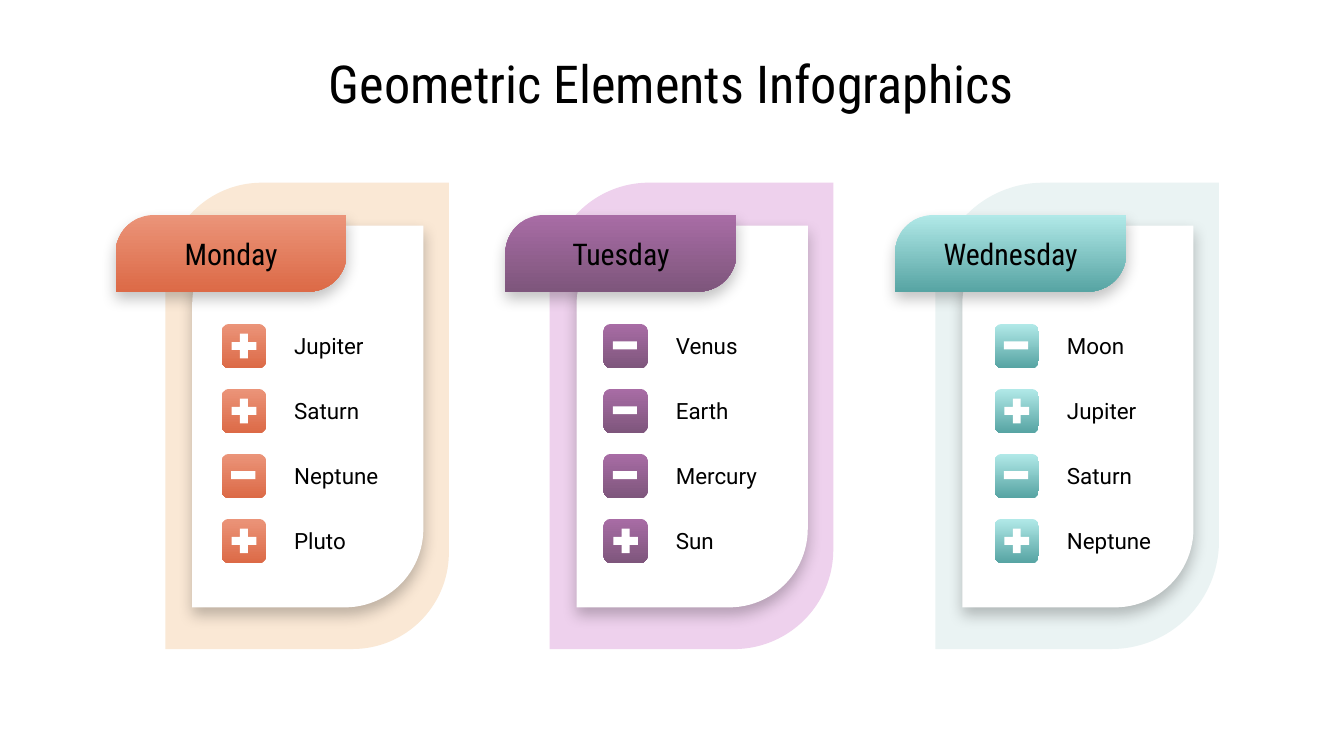
"""Build the Geometric Elements Infographics slide: three day cards with plus and minus lists."""
from lxml.etree import SubElement
from pptx import Presentation
from pptx.dml.color import RGBColor
from pptx.enum.shapes import MSO_SHAPE
from pptx.enum.text import MSO_ANCHOR, PP_ALIGN
from pptx.oxml.ns import qn
from pptx.util import Inches, Pt


def shape(shapes, kind, box, colors, adj=(), shadow=False):
    sp = shapes.add_shape(kind, *[Inches(v) for v in box])
    for i, value in enumerate(adj):
        sp.adjustments[i] = value
    sp.line.fill.background()
    if len(colors) == 1:
        sp.fill.solid()
        sp.fill.fore_color.rgb = RGBColor.from_string(colors[0])
    else:
        sp.fill.gradient()
        sp.fill.gradient_angle = 270
        for stop, color in zip(sp.fill.gradient_stops, colors):
            stop.color.rgb = RGBColor.from_string(color)
    sp.shadow.inherit = False
    if shadow:
        effects = sp._element.spPr.find(qn("a:effectLst"))
        outer = SubElement(effects, qn("a:outerShdw"), blurRad=str(Pt(7.9)), dist=str(Pt(3.8)),
                           dir="5400000", algn="bl", rotWithShape="0")
        clr = SubElement(outer, qn("a:srgbClr"), val="000000")
        SubElement(clr, qn("a:alpha"), val="23000")
    return sp


def write(sp, text, size, font, align, anchor=MSO_ANCHOR.MIDDLE):
    tf = sp.text_frame
    tf.word_wrap = True
    tf.vertical_anchor = anchor
    tf.margin_left = tf.margin_right = tf.margin_top = tf.margin_bottom = Inches(0.1)
    p = tf.paragraphs[0]
    p.alignment = align
    r = p.add_run()
    r.text = text
    r.font.size = Pt(size)
    r.font.name = font
    r.font.color.rgb = RGBColor.from_string("000000")


prs = Presentation()
prs.slide_width = Inches(10)
prs.slide_height = Inches(10) * 9 // 16
s = prs.slides.add_slide(prs.slide_layouts[6])

cards = [
    ("Monday", 1.23, 0.86, 1.65, 0.34, "FAE8D5", ("EB9479", "DC6A47"),
     [("+", "Jupiter"), ("+", "Saturn"), ("-", "Neptune"), ("+", "Pluto")]),
    ("Tuesday", 4.09, 3.76, 4.49, 0.35, "EED1ED", ("A86CA5", "7E567C"),
     [("-", "Venus"), ("-", "Earth"), ("-", "Mercury"), ("+", "Sun")]),
    ("Wednesday", 6.96, 6.66, 7.4, 0.38, "EAF3F3", ("B1E9E8", "57A4A3"),
     [("-", "Moon"), ("+", "Jupiter"), ("-", "Saturn"), ("+", "Neptune")]),
]
leaf = MSO_SHAPE.ROUND_2_DIAG_RECTANGLE

for day, panel_x, tab_x, icon_x, corner, pale, gradient, rows in cards:
    card = s.shapes.add_group_shape().shapes
    shape(card, leaf, (panel_x, 1.36, 2.11, 3.47), [pale], (corner, 0))
    shape(card, leaf, (panel_x + 0.2, 1.68, 1.72, 2.84), ["FFFFFF"], (0.34, 0), True)
    tab = shape(card, leaf, (tab_x, 1.6, 1.72, 0.57), gradient, (0.5, 0), True)
    write(tab, day, 16, "Roboto Condensed", PP_ALIGN.CENTER)

    for i, (sign, planet) in enumerate(rows):
        y = 2.41 + 1.45 * i / 3
        label = s.shapes.add_textbox(Inches(icon_x + 0.44), Inches(y + 0.03), Inches(0.88), Inches(0.27))
        write(label, planet, 12, "Roboto", PP_ALIGN.LEFT)
        icon = s.shapes.add_group_shape().shapes
        shape(icon, MSO_SHAPE.ROUNDED_RECTANGLE, (icon_x, y, 0.33, 0.33), gradient, (0.17,))
        if sign == "+":
            plus = shape(icon, MSO_SHAPE.MATH_MULTIPLY, (icon_x + 0.04, y + 0.04, 0.25, 0.25),
                         ["FFFFFF"], (0.235,))
            plus.rotation = 45
        else:
            shape(icon, MSO_SHAPE.RECTANGLE, (icon_x + 0.07, y + 0.13, 0.18, 0.06), ["FFFFFF"])

title = s.shapes.add_textbox(Inches(0.39), Inches(0.28), Inches(9.21), Inches(0.63))
write(title, "Geometric Elements Infographics", 28, "Roboto Condensed", PP_ALIGN.CENTER, MSO_ANCHOR.TOP)

prs.save("out.pptx")
